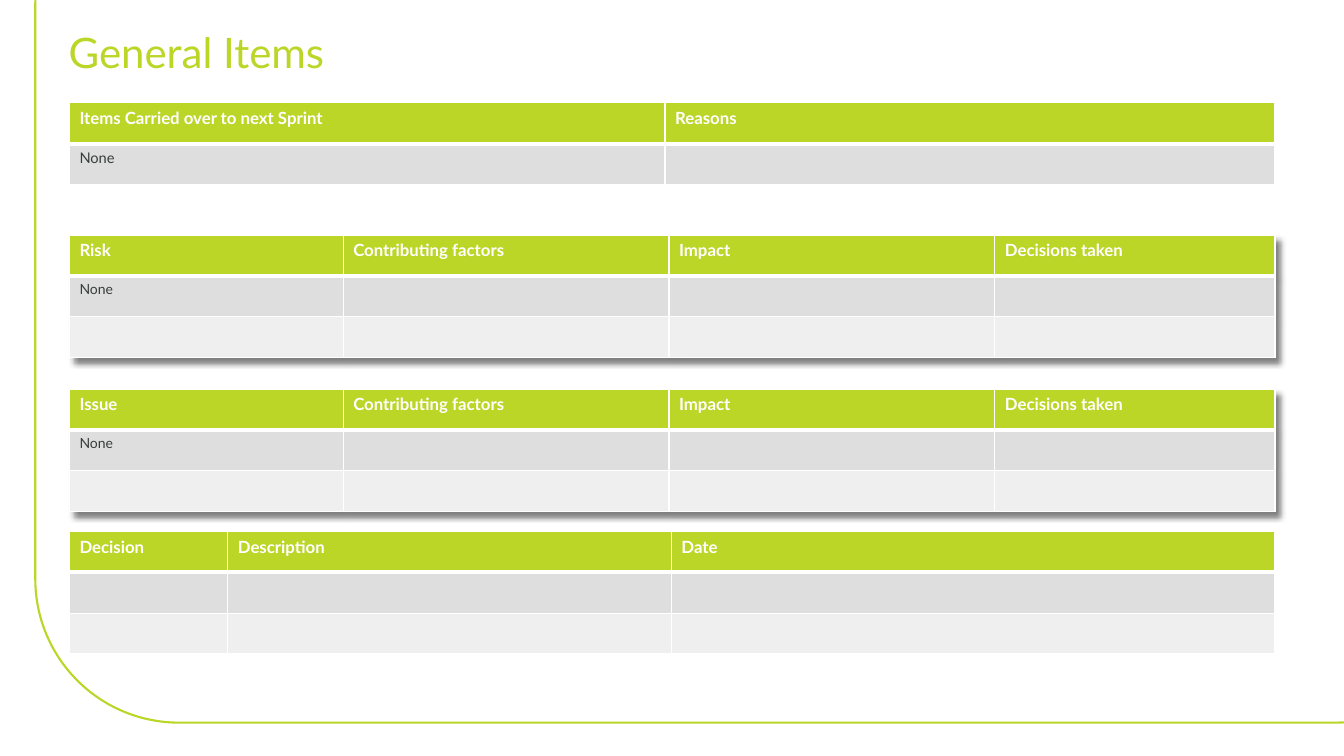
from lxml import etree
from pptx import Presentation
from pptx.dml.color import RGBColor
from pptx.enum import shapes, text
from pptx.oxml.ns import qn
from pptx.util import Cm, Pt

LIME = RGBColor(0xBB, 0xD6, 0x27)
WHITE = RGBColor(0xFF, 0xFF, 0xFF)
INK = RGBColor(0x37, 0x3C, 0x3C)
BANDS = RGBColor(0xDE, 0xDE, 0xDE), RGBColor(0xEF, 0xEF, 0xEF)

FONT = "Lato"
LEFT = 1.75
ROW_H = 1.03
FACTOR_COLS = [6.9, 8.21, 8.21, 7.06]
FACTOR_HEADS = ["Contributing factors", "Impact", "Decisions taken"]

# top, column widths, headings, body rows, size of body text, shadow
TABLES = [
    (5.92, FACTOR_COLS, ["Risk"] + FACTOR_HEADS, [["None"], []], 10, True),
    (9.8, FACTOR_COLS, ["Issue"] + FACTOR_HEADS, [["None"], []], 10, True),
    (2.59, [15.01, 15.37], ["Items Carried over to next Sprint", "Reasons"],
     [["None"]], 10.5, False),
    (13.39, [3.99, 11.18, 15.21], ["Decision", "Description", "Date"],
     [[], []], 10, False),
]


def write(tf, words, size, color, bold=False):
    r = tf.paragraphs[0].add_run()
    r.text = words
    r.font.color.rgb = color
    for name, value in {"name": FONT, "size": Pt(size), "bold": bold}.items():
        setattr(r.font, name, value)


def add_frame(s):
    """Draw the rounded outline that runs past the top and right edges."""
    sp = s.shapes.add_shape(shapes.MSO_SHAPE.ROUNDED_RECTANGLE,
                            Cm(0.89), Cm(-3.51), Cm(36.42), Cm(21.72))
    sp.shadow.inherit = False
    sp.fill.background()
    sp.line.color.rgb = LIME
    sp.line.width = Pt(1.5)


def add_title(s, words):
    tf = s.shapes.add_textbox(Cm(1.73), Cm(0.51), Cm(27.61), Cm(1.6)).text_frame
    margins = dict.fromkeys(
        ["margin_left", "margin_top", "margin_right", "margin_bottom"], 0)
    for name, value in {**margins, "word_wrap": True,
                        "vertical_anchor": text.MSO_ANCHOR.MIDDLE}.items():
        setattr(tf, name, value)
    write(tf, words, 30, LIME)


def set_borders(cell, top, bottom):
    """Give the cell white borders; the sides are 1 pt wide."""
    tcPr = cell._tc.get_or_add_tcPr()
    for tag, width in {"lnL": 1, "lnR": 1, "lnT": top, "lnB": bottom}.items():
        ln = etree.SubElement(tcPr, qn(f"a:{tag}"), w=str(Pt(width)))
        fill = etree.SubElement(ln, qn("a:solidFill"))
        etree.SubElement(fill, qn("a:srgbClr"), val=str(WHITE))


def add_table_shadow(table):
    effects = etree.Element(qn("a:effectLst"))
    shadow = etree.SubElement(effects, qn("a:outerShdw"), blurRad=str(Pt(4)),
                              dist=str(Pt(4)), dir="2700000", algn="tl",
                              rotWithShape="0")
    color = etree.SubElement(shadow, qn("a:prstClr"), val="black")
    etree.SubElement(color, qn("a:alpha"), val="50000")
    table._tbl.tblPr.insert(0, effects)


def add_log_table(s, top, widths, heads, body, size, shadow):
    rows = [heads] + body
    table = s.shapes.add_table(len(rows), len(widths), Cm(LEFT), Cm(top),
                               Cm(sum(widths)), Cm(ROW_H * len(rows))).table
    for col, width in zip(table.columns, widths):
        col.width = Cm(width)
    for i, row in enumerate(rows):
        table.rows[i].height = Cm(ROW_H)
        for j, cell in enumerate(table.rows[i].cells):
            set_borders(cell, 3 if i == 1 else 1, 3 if i == 0 else 1)
            cell.fill.solid()
            cell.fill.fore_color.rgb = BANDS[(i - 1) % 2] if i else LIME
            if j < len(row):
                style = (size, INK) if i else (12, WHITE, True)
                write(cell.text_frame, row[j], *style)
    if shadow:
        add_table_shadow(table)


def main():
    prs = Presentation()
    prs.slide_width, prs.slide_height = Cm(33.87), Cm(19.05)
    s = prs.slides.add_slide(prs.slide_layouts[6])
    add_frame(s)
    add_title(s, "General Items")
    for spec_row in TABLES:
        add_log_table(s, *spec_row)
    prs.save("out.pptx")


if __name__ == "__main__":
    main()
